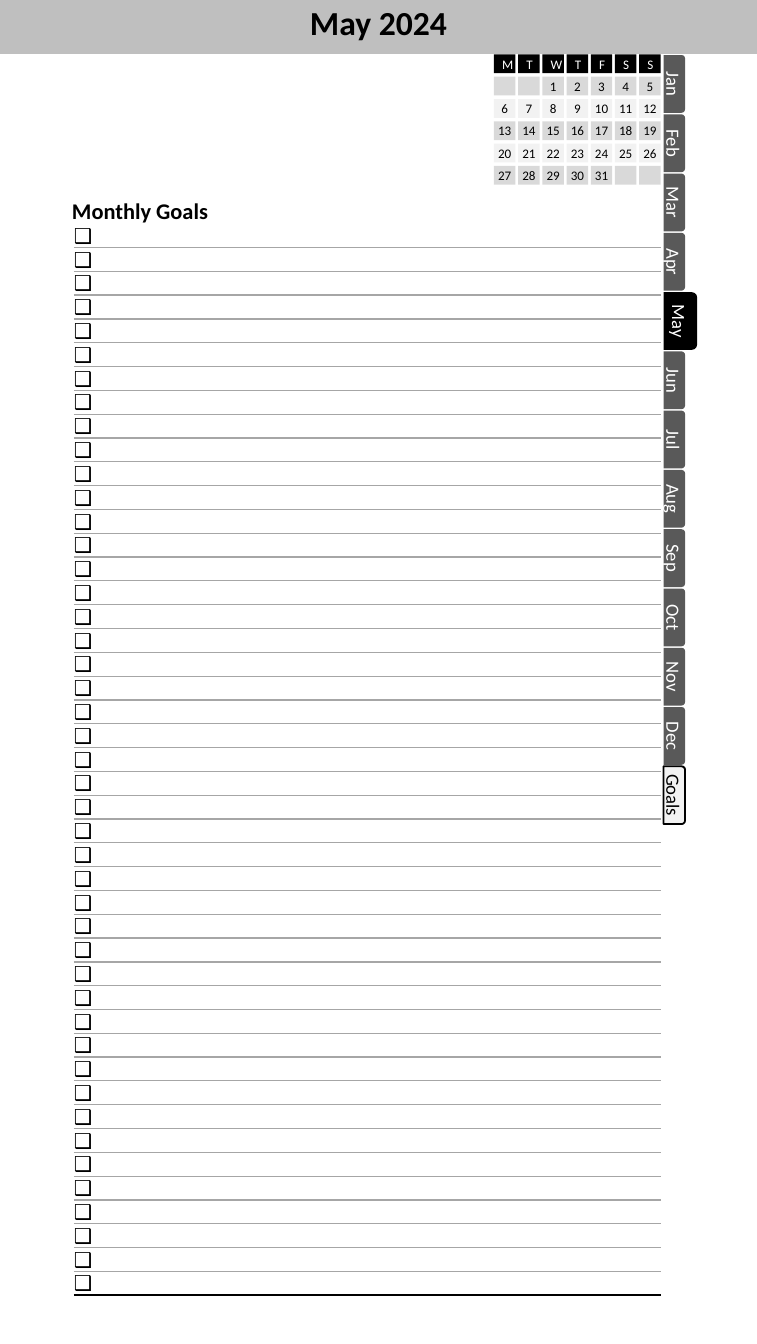
import dataclasses
import typing

import lxml.etree
import pptx
import pptx.dml.color
import pptx.enum.shapes
import pptx.enum.text
import pptx.oxml.ns
import pptx.util

RGBColor = pptx.dml.color.RGBColor
Shape = pptx.enum.shapes.MSO_SHAPE
Align = pptx.enum.text.PP_ALIGN
Anchor = pptx.enum.text.MSO_ANCHOR
qn = pptx.oxml.ns.qn

BLACK = RGBColor(0x00, 0x00, 0x00)
WHITE = RGBColor(0xFF, 0xFF, 0xFF)
BAND = RGBColor(0xBF, 0xBF, 0xBF)
TAB = RGBColor(0x59, 0x59, 0x59)
RULE = RGBColor(0xA6, 0xA6, 0xA6)
DARK_WEEK = RGBColor(0xD9, 0xD9, 0xD9)
LIGHT = RGBColor(0xF2, 0xF2, 0xF2)

PX_PER_INCH = 1000
FONT = "Calibri"
NO_STYLE = "{2D5ABB26-0587-4C30-8999-92F81FD0307C}"
MONTHS = "Jan Feb Mar Apr May Jun Jul Aug Sep Oct Nov Dec".split()
CURRENT = "May"
FIRST_WEEKDAY, LAST_DAY = 2, 31
GOAL_ROWS, GOAL_HEIGHT = 45, 177


@dataclasses.dataclass
class Box:
    """A filled shape with an optional centred label."""
    x: int
    y: int
    w: int
    h: int
    fill: RGBColor
    text: str = ""
    size: float = 7
    color: RGBColor = BLACK
    kind: Shape = Shape.RECTANGLE
    rotation: int = 0
    line: typing.Optional[RGBColor] = None
    inset: int = 0


def px(n: int) -> int:
    """Turn px into EMU."""
    return pptx.util.Inches(n / PX_PER_INCH)


def add_run(p: typing.Any, text: str, size: float, color: RGBColor, bold: bool = False) -> None:
    """Append a formatted run to a paragraph."""
    r = p.add_run()
    r.text = text
    r.font.name = FONT
    r.font.size = pptx.util.Pt(size)
    r.font.bold = bold
    r.font.color.rgb = color


def draw_box(shapes: typing.Any, box: Box) -> typing.Any:
    """Draw one box and return its shape."""
    sp = shapes.add_shape(box.kind, px(box.x), px(box.y), px(box.w), px(box.h))
    sp.shadow.inherit = False
    sp.rotation = box.rotation
    sp.fill.solid()
    sp.fill.fore_color.rgb = box.fill
    if box.line is None:
        sp.line.fill.background()
    else:
        sp.line.color.rgb = box.line
        sp.line.width = pptx.util.Pt(1)
    if box.text:
        tf = sp.text_frame
        tf.margin_left = tf.margin_right = px(box.inset)
        tf.margin_top = tf.margin_bottom = 0
        tf.vertical_anchor = Anchor.MIDDLE
        p = tf.paragraphs[0]
        p.alignment = Align.CENTER
        add_run(p, box.text, box.size, box.color)
    return sp


def draw_title(s: typing.Any) -> None:
    """Place the month title on its band."""
    title = s.shapes.title
    title.left, title.top, title.width, title.height = px(1270), 0, px(3090), px(400)
    tf = title.text_frame
    tf.margin_top, tf.margin_bottom = 0, px(30)
    tf.vertical_anchor = Anchor.MIDDLE
    p = tf.paragraphs[0]
    p.alignment = Align.CENTER
    p.line_spacing = 0.9
    add_run(p, "May 2024", 18, BLACK, True)
    band = draw_box(s.shapes, Box(0, 0, 5630, 402, BAND))
    title.element.addprevious(band.element)


def add_bottom_border(cell: typing.Any, color: RGBColor, width: float) -> None:
    """Rule the bottom edge of a cell."""
    ln = lxml.etree.Element(qn("a:lnB"), w=str(pptx.util.Pt(width)))
    fill = lxml.etree.SubElement(ln, qn("a:solidFill"))
    lxml.etree.SubElement(fill, qn("a:srgbClr"), val=str(color))
    cell._tc.get_or_add_tcPr().insert(0, ln)


def add_checkbox(p: typing.Any) -> None:
    """Give a paragraph a checkbox bullet."""
    pPr = p._p.get_or_add_pPr()
    pPr.set("marL", str(px(170)))
    pPr.set("indent", str(-px(170)))
    lxml.etree.SubElement(pPr, qn("a:buSzPct"), val="110000")
    lxml.etree.SubElement(pPr, qn("a:buFont"), typeface=FONT)
    lxml.etree.SubElement(pPr, qn("a:buChar"), char="❑")
    add_run(p, " ", 10, BLACK)


def draw_goals(s: typing.Any) -> None:
    """Draw the goals heading and its ruled checklist."""
    heading = s.shapes.add_textbox(px(437), px(1420), px(1230), px(300))
    heading.text_frame.word_wrap = False
    add_run(heading.text_frame.paragraphs[0], "Monthly Goals", 12, BLACK, True)
    frame = s.shapes.add_table(GOAL_ROWS, 1, px(550), px(1664), px(4365), px(GOAL_HEIGHT * GOAL_ROWS))
    table = frame.table
    table.first_row = table.horz_banding = False
    table._tbl.tblPr.find(qn("a:tableStyleId")).text = NO_STYLE
    for i, row in enumerate(table.rows):
        row.height = px(GOAL_HEIGHT + (i % 3 == 0))
        cell = row.cells[0]
        cell.margin_left = cell.margin_right = cell.margin_top = cell.margin_bottom = 0
        cell.vertical_anchor = Anchor.BOTTOM
        cell.fill.background()
        last = i == GOAL_ROWS - 1
        add_bottom_border(cell, BLACK if last else RULE, 1 if last else 0.75)
        add_checkbox(cell.text_frame.paragraphs[0])


def draw_tabs(s: typing.Any) -> None:
    """Draw the month tabs and the goals tab down the right edge."""
    for i, name in enumerate(MONTHS + ["Goals"]):
        box = Box(4800, 545 + 441 * i, 430, 160, TAB, name, 10, WHITE, Shape.ROUND_2_SAME_RECTANGLE, 90)
        if name == CURRENT:
            box = dataclasses.replace(box, x=4845, y=box.y - 45, h=250, fill=BLACK)
        elif name == "Goals":
            box = dataclasses.replace(box, fill=LIGHT, color=BLACK, line=BLACK)
        draw_box(s.shapes, box)


def draw_calendar(s: typing.Any) -> None:
    """Draw the month grid under its weekday header."""
    group = s.shapes.add_group_shape()
    for row in range(6):
        for col in range(7):
            day = (row - 1) * 7 + col - FIRST_WEEKDAY + 1
            text = str(day) if 1 <= day <= LAST_DAY else ""
            fill, color, inset = (DARK_WEEK if row % 2 else LIGHT), BLACK, 0
            if row == 0:
                text, fill, color, inset = "MTWTFSS"[col], BLACK, WHITE, 100
            x, y = 3674 + 180 * col, 405 + 166 * row
            draw_box(group.shapes, Box(x, y, 160, 140, fill, text, 7, color, inset=inset))


def main() -> None:
    """Build the planner page."""
    prs = pptx.Presentation()
    prs.slide_width, prs.slide_height = px(5630), px(10000)
    s = prs.slides.add_slide(prs.slide_layouts[5])
    draw_title(s)
    draw_goals(s)
    draw_tabs(s)
    draw_calendar(s)
    prs.save("out.pptx")


if __name__ == "__main__":
    main()
